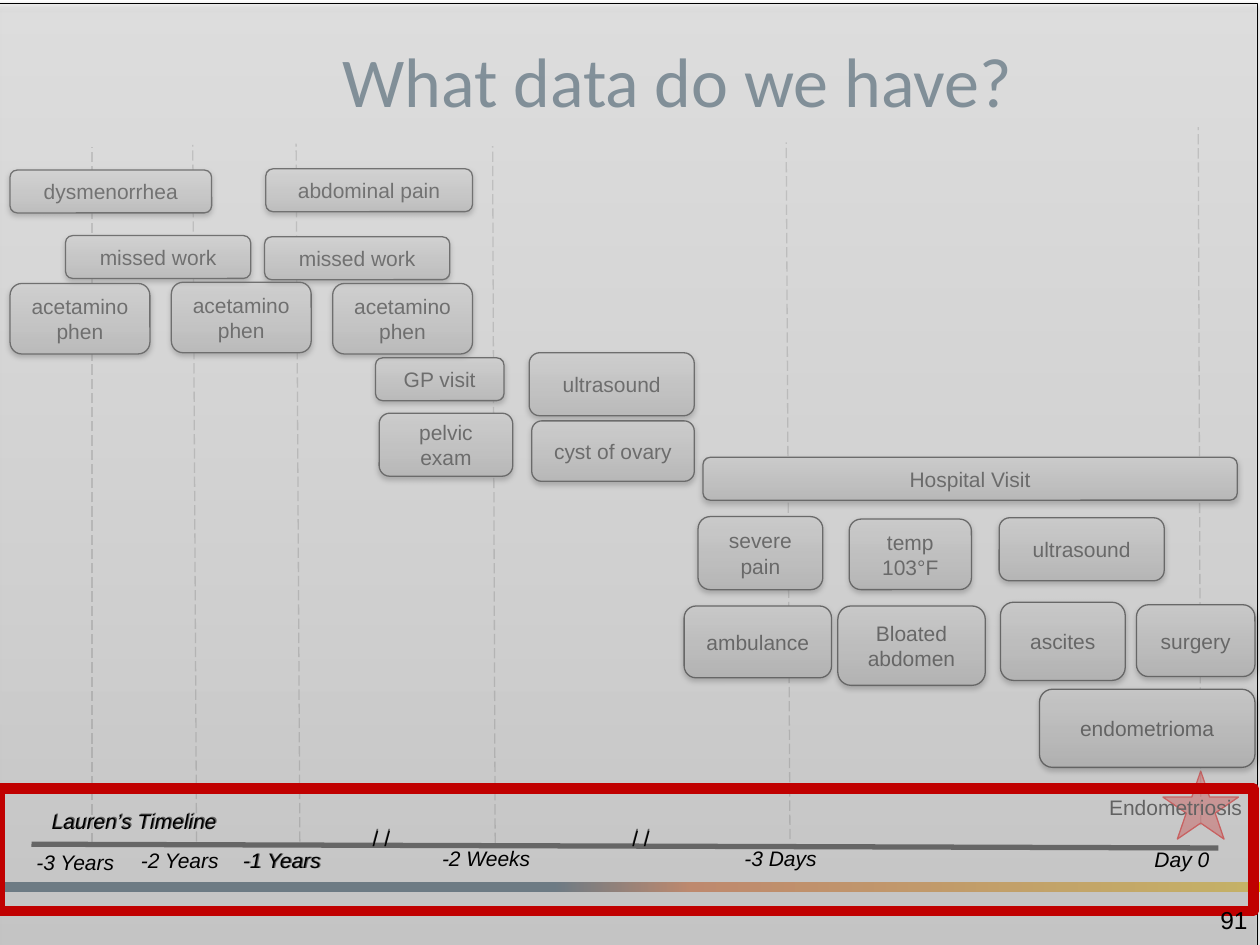
from dataclasses import dataclass

from lxml import etree
from pptx import Presentation
from pptx.dml.color import RGBColor
from pptx.enum.dml import MSO_LINE
from pptx.enum.shapes import MSO_CONNECTOR, MSO_SHAPE
from pptx.enum.text import MSO_ANCHOR, PP_ALIGN
from pptx.oxml import parse_xml
from pptx.oxml.ns import nsdecls, qn
from pptx.util import Inches, Pt

COLORS = {
    "black": "000000", "navy": "20425A", "orange": "EB6622", "yellow": "FCCB10",
    "guide": "BFBFBF", "axis": "666666", "star": "FF0000", "frame": "C00000",
    "gray_dark": "BDBDBD", "gray_mid": "D1D1D1", "gray_light": "EEEEEE",
}
GRAY_STOPS = [(0, "gray_dark"), (35, "gray_mid"), (100, "gray_light")]
BAR_STOPS = [(0, "navy"), (44, "navy"), (55, "orange"), (100, "yellow")]
GUIDES = [(9.53, 6.55, 9.51, 1.01), (6.27, 6.66, 6.24, 1.13), (3.93, 6.69, 3.91, 1.16),
          (2.38, 6.68, 2.35, 1.14), (1.56, 6.68, 1.53, 1.15), (0.73, 6.69, 0.73, 1.17)]
EVENTS = [
    ("dysmenorrhea", 0.08, 0.35, 1.6, 0.34),
    ("acetaminophen", 0.08, 1.25, 1.11, 0.56),
    ("pelvic exam", 3.01, 2.28, 1.06, 0.5),
    ("ultrasound", 4.2, 1.8, 1.31, 0.5),
    ("cyst of ovary", 4.22, 2.34, 1.29, 0.48),
    ("severe pain", 5.54, 3.1, 0.99, 0.58),
    ("GP visit", 2.98, 1.84, 1.02, 0.34),
    ("Hospital Visit", 5.58, 2.63, 4.24, 0.34),
    ("temp 103°F", 6.74, 3.12, 0.97, 0.56),
    ("Bloated abdomen", 6.65, 3.81, 1.17, 0.63),
    ("ascites", 7.94, 3.78, 0.99, 0.62),
    ("surgery", 9.02, 3.8, 0.94, 0.57),
    ("ambulance", 5.43, 3.81, 1.17, 0.57),
    ("abdominal pain", 2.11, 0.34, 1.64, 0.34),
    ("acetaminophen", 1.36, 1.24, 1.11, 0.56),
    ("acetaminophen", 2.64, 1.25, 1.11, 0.56),
    ("missed work", 0.52, 0.87, 1.47, 0.34),
    ("missed work", 2.1, 0.88, 1.47, 0.34),
    ("ultrasound", 7.93, 3.11, 1.31, 0.5),
    ("endometrioma", 8.25, 4.47, 1.71, 0.62),
]
TICKS = [("-3 Years", 0.19, 0.69), ("-2 Years", 1.02, 0.68), ("-1 Years", 1.83, 0.68),
         ("-2 Weeks", 3.41, 0.66), ("-3 Days", 5.81, 0.66)]


@dataclass
class Box:
    """A region of the slide, in inches."""
    left: float
    top: float
    width: float
    height: float

    def inside(self, left, top, width, height):
        """Return a box placed relative to this one."""
        return Box(self.left + left, self.top + top, width, height)

    def lengths(self):
        """Return the four measures as lengths."""
        return [Inches(value) for value in (self.left, self.top, self.width, self.height)]


def rgb(name):
    """Return a named colour."""
    return RGBColor.from_string(COLORS[name])


def write_text(shape, text, size=12, font="Arial", color="black", italic=False,
               align=PP_ALIGN.LEFT, anchor=MSO_ANCHOR.TOP, inset=0.05):
    """Write one formatted paragraph into a shape."""
    frame = shape.text_frame
    frame.word_wrap = True
    frame.vertical_anchor = anchor
    frame.margin_left = frame.margin_right = Inches(0.1)
    frame.margin_top = frame.margin_bottom = Inches(inset)
    paragraph = frame.paragraphs[0]
    paragraph.text = text
    paragraph.alignment = align
    paragraph.font.size = Pt(size)
    paragraph.font.name = font
    paragraph.font.italic = italic
    paragraph.font.color.rgb = rgb(color)


def add_text(slide, box, text, **formats):
    """Add a text box."""
    write_text(slide.shapes.add_textbox(*box.lengths()), text, **formats)


def add_centered(slide, box, text, **formats):
    """Add a text box centred both ways."""
    add_text(slide, box, text, align=PP_ALIGN.CENTER, anchor=MSO_ANCHOR.MIDDLE,
             inset=0.1, **formats)


def add_shape(slide, kind, box, line=None, width=0.75):
    """Add an unfilled, shadowless preset shape."""
    shape = slide.shapes.add_shape(kind, *box.lengths())
    shape.shadow.inherit = False
    shape.fill.background()
    if line:
        shape.line.color.rgb = rgb(line)
        shape.line.width = Pt(width)
    else:
        shape.line.fill.background()
    return shape


def fill_gradient(shape, stops, angle, opacity=100):
    """Fill a shape with a linear gradient."""
    stop_xml = "".join(
        f'<a:gs pos="{position * 1000}"><a:srgbClr val="{COLORS[color]}">'
        f'<a:alpha val="{opacity * 1000}"/></a:srgbClr></a:gs>'
        for position, color in stops)
    gradient = parse_xml(
        f'<a:gradFill {nsdecls("a")} rotWithShape="1"><a:gsLst>{stop_xml}</a:gsLst>'
        f'<a:lin ang="{angle * 60000}" scaled="0"/></a:gradFill>')
    properties = shape._element.spPr
    properties.replace(properties.find(qn("a:noFill")), gradient)


def add_shadow(shape):
    """Give a shape a soft shadow below it."""
    shape._element.spPr.find(qn("a:effectLst")).append(parse_xml(
        f'<a:outerShdw {nsdecls("a")} blurRad="40000" dist="20000" dir="5400000" '
        'rotWithShape="0"><a:srgbClr val="000000"><a:alpha val="38000"/></a:srgbClr>'
        '</a:outerShdw>'))


def add_line(slide, start, end, color, width, dash=None):
    """Add a straight line between two points."""
    points = [Inches(value) for value in (*start, *end)]
    line = slide.shapes.add_connector(MSO_CONNECTOR.STRAIGHT, *points)
    line.line.color.rgb = rgb(color)
    line.line.width = Pt(width)
    if dash:
        line.line.dash_style = dash
    etree.SubElement(line._element.spPr, qn("a:effectLst"))


def add_backdrop(slide, box):
    """Add the colour bar and the dashed time guides."""
    bar = add_shape(slide, MSO_SHAPE.RECTANGLE, box.inside(0, 7, box.width, 0.08))
    fill_gradient(bar, BAR_STOPS, 0)
    for x1, y1, x2, y2 in GUIDES:
        add_line(slide, (box.left + x1, box.top + y1), (box.left + x2, box.top + y2),
                 "guide", 0.75, MSO_LINE.LONG_DASH)


def add_diagnosis(slide, box):
    """Add the star and its label."""
    star = add_shape(slide, MSO_SHAPE.STAR_5_POINT, box.inside(0.69, 0.06, 0.6, 0.54), "star")
    star.fill.solid()
    star.fill.fore_color.rgb = rgb("star")
    color = star._element.spPr.find(qn("a:solidFill"))[0]
    etree.SubElement(color, qn("a:alpha")).set("val", "50000")
    add_centered(slide, box.inside(0, 0, box.width, box.height), "Endometriosis")


def add_events(slide, box):
    """Add the event cards."""
    for text, *place in EVENTS:
        card = add_shape(slide, MSO_SHAPE.ROUNDED_RECTANGLE, box.inside(*place), "black")
        fill_gradient(card, GRAY_STOPS, 270)
        add_shadow(card)
        write_text(card, text, align=PP_ALIGN.CENTER, anchor=MSO_ANCHOR.MIDDLE)


def add_veil(slide, box):
    """Add the translucent sheet that dims what lies below."""
    veil = add_shape(slide, MSO_SHAPE.RECTANGLE, box, "black")
    fill_gradient(veil, GRAY_STOPS, 270, opacity=50)
    add_shadow(veil)


def add_timeline_marks(slide, box, title_left, title_top, break_top):
    """Add the timeline name and the two axis breaks."""
    add_centered(slide, box.inside(title_left, title_top, 2.13, 0.7),
                 "Lauren’s Timeline", italic=True)
    for left in (2.86, 4.92):
        add_text(slide, box.inside(left, break_top, 0.65, 0.3), "/ /")


def add_timeline(slide, box):
    """Add the axis, its labels and the highlight frame."""
    add_line(slide, (box.left + 0.25, box.top + 0.7), (box.left + 9.67, box.top + 0.73),
             "axis", 3)
    for text, left, top in TICKS:
        add_text(slide, box.inside(left, top, 1.08, 0.3), text, italic=True)
    add_text(slide, box.inside(8.79, 0.67, 1.18, 0.3), "Day 0", italic=True,
             align=PP_ALIGN.CENTER)
    add_timeline_marks(slide, box, 0, 0.17, 0.5)
    add_shape(slide, MSO_SHAPE.RECTANGLE, box.inside(0, 0.26, 9.95, 0.97), "frame", 6)


def main():
    """Build and save the slide."""
    presentation = Presentation()
    presentation.slide_width, presentation.slide_height = Inches(10), Inches(7.5)
    slide = presentation.slides.add_slide(presentation.slide_layouts[6])
    timeline = Box(0, 6, 10, 1.5)
    add_backdrop(slide, Box(0, 0, 10, 7.5))
    add_diagnosis(slide, Box(8.54, 6.06, 1.58, 0.7))
    add_events(slide, Box(0, 1, 10, 5.1))
    add_centered(slide, Box(1.25, 0.17, 8.25, 0.92), "What data do we have?",
                 size=40, font="Calibri", color="navy")
    add_timeline_marks(slide, timeline, 0.01, 0.16, 0.49)
    add_text(slide, timeline.inside(1.84, 0.68, 1.08, 0.3), "-1 Years", italic=True)
    add_veil(slide, Box(-0.03, 0.03, 10.01, 7.5))
    add_timeline(slide, timeline)
    add_text(slide, Box(7.67, 7.1, 2.33, 0.4), "91", size=14, align=PP_ALIGN.RIGHT,
             anchor=MSO_ANCHOR.MIDDLE)
    presentation.save("out.pptx")


if __name__ == "__main__":
    main()
